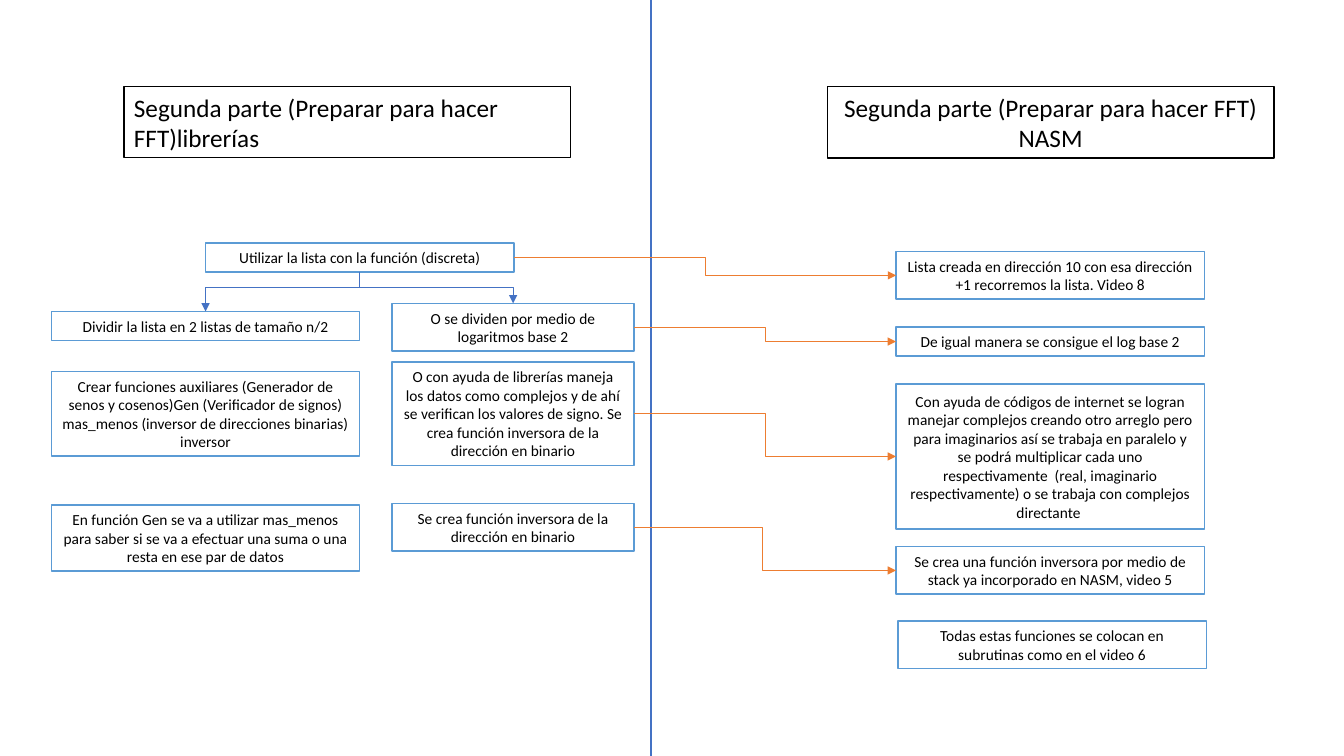
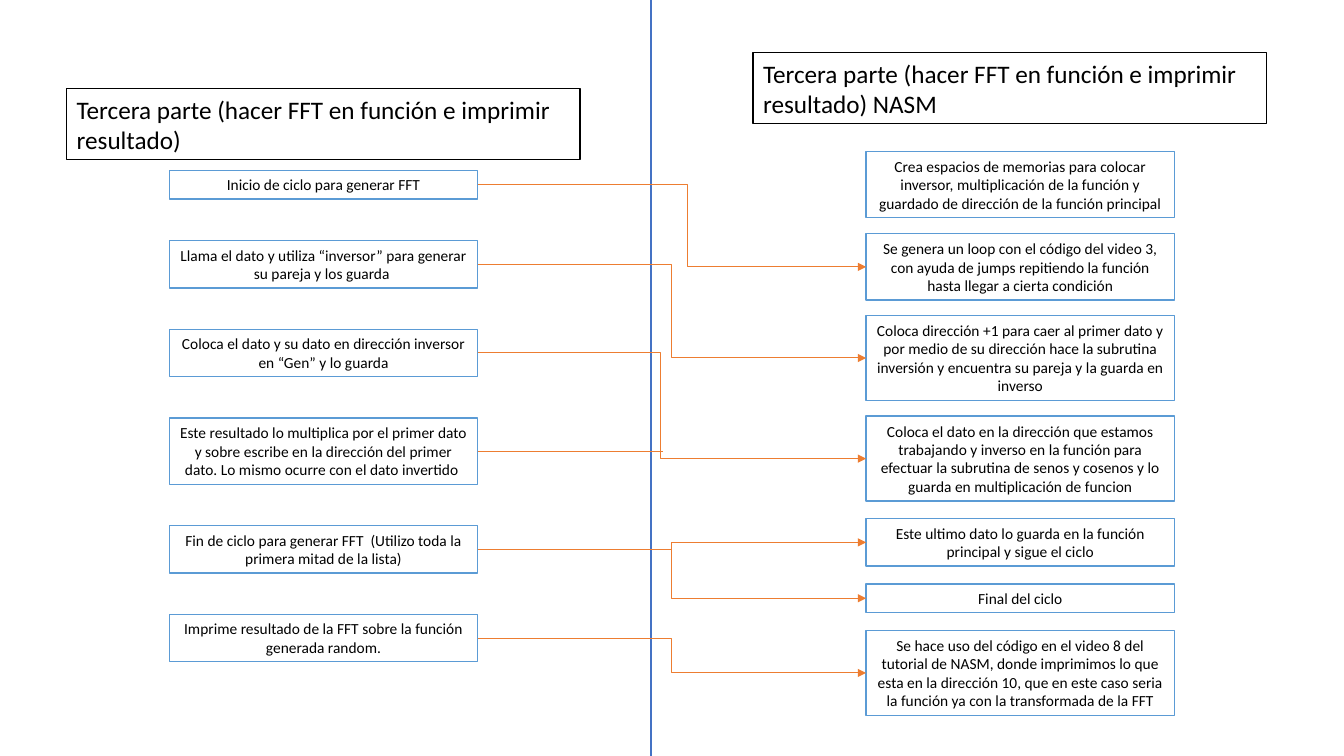
from dataclasses import dataclass

from lxml.etree import SubElement
from pptx import Presentation
from pptx.dml.color import RGBColor
from pptx.enum.shapes import MSO_CONNECTOR as Connector, MSO_SHAPE as Shape
from pptx.enum.text import MSO_AUTO_SIZE as AutoSize, PP_ALIGN as Align
from pptx.oxml.ns import qn
from pptx.util import Pt

WHITE = RGBColor(0xFF, 0xFF, 0xFF)
BLACK = RGBColor(0x00, 0x00, 0x00)
BOX_BLUE = RGBColor(0x5B, 0x9B, 0xD5)
LINE_BLUE = RGBColor(0x44, 0x72, 0xC4)
ORANGE = RGBColor(0xED, 0x7D, 0x31)

FONT = "Calibri"
SLIDE_WIDTH, SLIDE_HEIGHT = 960, 540
DIVIDER_X = 465
STEP_WIDTH, NARROW_WIDTH = 220.3, 172.8
LINES_1, LINES_2, LINES_3, LINES_4, LINES_5 = 20.6, 33.9, 47.3, 60.6, 73.9
TITLE_HEIGHT = 50.9
TOP, LEFT, BOTTOM, RIGHT = range(4)  # connection sites of a rectangle


@dataclass(frozen=True)
class Title:
    left: float
    top: float
    width: float
    text: str
    align: Align = Align.LEFT


@dataclass(frozen=True)
class Step:
    name: str
    left: float
    top: float
    height: float
    text: str
    width: float = STEP_WIDTH


@dataclass(frozen=True)
class Link:
    """An elbow arrow; bend is the share of its way at which it turns."""
    start: str
    end: str
    bend: float = 0.5
    downward: bool = False


@dataclass(frozen=True)
class Page:
    titles: list[Title]
    steps: list[Step]
    links: list[Link]


def stack(left: float, top: float, gap: float,
          items: list[tuple[str, float, str]]) -> list[Step]:
    """Place steps under each other with equal gaps."""
    steps = []
    for name, height, text in items:
        steps.append(Step(name, left, top, height, text))
        top += height + gap
    return steps


NASM_X, LIST_X, LIBRARY_X = 640.1, 36.7, 280.1
PREPARE = Page(
    titles=[
        Title(88.6, 61.8, 319, "Segunda parte (Preparar para hacer FFT)librerías"),
        Title(591, 62, 319, "Segunda parte (Preparar para hacer FFT) NASM", Align.CENTER),
    ],
    steps=[
        Step("función", 146.9, 173.7, LINES_1, "Utilizar la lista con la función (discreta)"),
        Step("dividir", LIST_X, 222.5, LINES_1, "Dividir la lista en 2 listas de tamaño n/2"),
        Step("auxiliares", LIST_X, 265.2, LINES_4,
             "Crear funciones auxiliares (Generador de senos y cosenos)Gen (Verificador de signos) "
             "mas_menos (inversor de direcciones binarias) inversor"),
        Step("gen", LIST_X, 360.6, LINES_3,
             "En función Gen se va a utilizar mas_menos para saber si se va a efectuar una suma "
             "o una resta en ese par de datos"),
        Step("logaritmos", LIBRARY_X, 216.8, LINES_2,
             "O se dividen por medio de logaritmos base 2", NARROW_WIDTH),
        Step("complejos", LIBRARY_X, 258.6, LINES_5,
             "O con ayuda de librerías maneja los datos como complejos y de ahí se verifican los "
             "valores de signo. Se crea función inversora de la dirección en binario", NARROW_WIDTH),
        Step("inversora", LIBRARY_X, 359.7, LINES_2,
             "Se crea función inversora de la dirección en binario", NARROW_WIDTH),
        Step("lista NASM", NASM_X, 179.8, LINES_2,
             "Lista creada en dirección 10 con esa dirección +1 recorremos la lista. Video 8"),
        Step("log NASM", NASM_X, 233.7, LINES_1, "De igual manera se consigue el log base 2"),
        Step("complejos NASM", NASM_X, 274.2, 103.7,
             "Con ayuda de códigos de internet se logran manejar complejos creando otro arreglo "
             "pero para imaginarios así se trabaja en paralelo y se podrá multiplicar cada uno "
             "respectivamente  (real, imaginario respectivamente) o se trabaja con complejos "
             "directante "),
        Step("stack NASM", NASM_X, 390.5, LINES_2,
             "Se crea una función inversora por medio de stack ya incorporado en NASM, video 5"),
        Step("subrutinas", 641.4, 443.5, LINES_2,
             "Todas estas funciones se colocan en subrutinas como en el video 6"),
    ],
    links=[
        Link("función", "logaritmos", downward=True),
        Link("función", "dividir", 0.4, downward=True),
        Link("función", "lista NASM"),
        Link("logaritmos", "log NASM"),
        Link("complejos", "complejos NASM"),
        Link("inversora", "stack NASM", 0.49),
    ],
)

CYCLE_X, SUBROUTINE_X = 121, 618.7
TRANSFORM = Page(
    titles=[
        Title(47.7, 63.2, 366.5, "Tercera parte (hacer FFT en función e imprimir resultado)"),
        Title(538, 37.5, 366.5, "Tercera parte (hacer FFT en función e imprimir resultado) NASM"),
    ],
    steps=stack(CYCLE_X, 121.7, 29.5, [
        ("inicio", LINES_1, "Inicio de ciclo para generar FFT"),
        ("inversor", LINES_2,
         "Llama el dato y utiliza “inversor” para generar su pareja y los guarda "),
        ("gen", LINES_2, "Coloca el dato y su dato en dirección inversor en “Gen” y lo guarda"),
        ("multiplica", LINES_3,
         "Este resultado lo multiplica por el primer dato y sobre escribe en la dirección del "
         "primer dato. Lo mismo ocurre con el dato invertido "),
        ("fin", LINES_2,
         "Fin de ciclo para generar FFT  (Utilizo toda la primera mitad de la lista)"),
        ("imprime", LINES_2, "Imprime resultado de la FFT sobre la función generada random."),
    ]) + [
        Step("memoria", SUBROUTINE_X, 108.2, LINES_3,
             "Crea espacios de memorias para colocar inversor, multiplicación de la función y "
             "guardado de dirección de la función principal"),
        Step("loop", SUBROUTINE_X, 167, LINES_3,
             "Se genera un loop con el código del video 3, con ayuda de jumps repitiendo la "
             "función hasta llegar a cierta condición"),
        Step("pareja", SUBROUTINE_X, 225.4, LINES_4,
             "Coloca dirección +1 para caer al primer dato y por medio de su dirección hace la "
             "subrutina inversión y encuentra su pareja y la guarda en inverso"),
        Step("senos", SUBROUTINE_X, 297.3, LINES_4,
             "Coloca el dato en la dirección que estamos trabajando y inverso en la función para "
             "efectuar la subrutina de senos y cosenos y lo guarda en multiplicación de funcion"),
        Step("principal", SUBROUTINE_X, 370.5, LINES_2,
             "Este ultimo dato lo guarda en la función principal y sigue el ciclo"),
        Step("final", SUBROUTINE_X, 417, LINES_1, "Final del ciclo"),
        Step("tutorial", SUBROUTINE_X, 450.4, LINES_4,
             "Se hace uso del código en el video 8 del tutorial de NASM, donde imprimimos lo que "
             "esta en la dirección 10, que en este caso seria la función ya con la transformada "
             "de la FFT"),
    ],
    links=[
        Link("inicio", "loop", 0.54),
        Link("inversor", "pareja"),
        Link("gen", "senos", 0.47),
        Link("fin", "principal"),
        Link("imprime", "tutorial"),
    ],
)


def add_box(slide, box: Title | Step, height: float, outline: RGBColor,
            size: float, align: Align):
    shape = slide.shapes.add_shape(
        Shape.RECTANGLE, Pt(box.left), Pt(box.top), Pt(box.width), Pt(height))
    shape.shadow.inherit = False
    shape.fill.solid()
    shape.fill.fore_color.rgb = WHITE
    shape.line.color.rgb = outline
    shape.line.width = Pt(1)
    text_frame = shape.text_frame
    text_frame.word_wrap = True
    text_frame.auto_size = AutoSize.SHAPE_TO_FIT_TEXT
    text_frame.text = box.text
    paragraph = text_frame.paragraphs[0]
    paragraph.alignment = align
    font = paragraph.runs[0].font
    font.name, font.size, font.color.rgb = FONT, Pt(size), BLACK
    return shape


def add_line(slide, kind: Connector, start: tuple[float, float], end: tuple[float, float],
             color: RGBColor):
    line = slide.shapes.add_connector(kind, *map(Pt, start + end))
    line.line.color.rgb = color
    line.line.width = Pt(0.75)
    SubElement(line.element.spPr, qn("a:effectLst"))
    return line


def add_elbow_arrow(slide, start: tuple[float, float], end: tuple[float, float],
                    color: RGBColor, bend: float):
    arrow = add_line(slide, Connector.ELBOW, start, end, color)
    SubElement(arrow.line._get_or_add_ln(), qn("a:tailEnd"), type="triangle")
    adjustments = arrow.element.spPr.find(qn("a:prstGeom")).get_or_add_avLst()
    SubElement(adjustments, qn("a:gd"), name="adj1", fmla=f"val {round(bend * 100000)}")
    return arrow


def turn_downward(arrow, start: tuple[float, float], end: tuple[float, float]) -> None:
    """Rotate an elbow so that it leaves and arrives vertically."""
    across, down = end[0] - start[0], end[1] - start[1]
    arrow.width, arrow.height = Pt(down), Pt(abs(across))
    arrow.left = Pt((start[0] + end[0] - down) / 2)
    arrow.top = Pt((start[1] + end[1] - abs(across)) / 2)
    frame = arrow.element.spPr.find(qn("a:xfrm"))
    frame.set("rot", str((270 if across > 0 else 90) * 60000))
    frame.set("flipH", "1" if across > 0 else "0")


def site_point(step: Step, site: int) -> tuple[float, float]:
    middle_x, middle_y = step.left + step.width / 2, step.top + step.height / 2
    return {
        TOP: (middle_x, step.top),
        LEFT: (step.left, middle_y),
        BOTTOM: (middle_x, step.top + step.height),
        RIGHT: (step.left + step.width, middle_y),
    }[site]


def add_page(presentation, page: Page):
    slide = presentation.slides.add_slide(presentation.slide_layouts[6])
    add_line(slide, Connector.STRAIGHT, (DIVIDER_X, 0), (DIVIDER_X, SLIDE_HEIGHT), LINE_BLUE)
    for title in page.titles:
        add_box(slide, title, TITLE_HEIGHT, BLACK, 18, title.align)
    steps = {step.name: step for step in page.steps}
    shapes = {step.name: add_box(slide, step, step.height, BOX_BLUE, 11, Align.CENTER)
              for step in page.steps}
    for link in page.links:
        start_site, end_site = (BOTTOM, TOP) if link.downward else (RIGHT, LEFT)
        start = site_point(steps[link.start], start_site)
        end = site_point(steps[link.end], end_site)
        color = LINE_BLUE if link.downward else ORANGE
        arrow = add_elbow_arrow(slide, start, end, color, link.bend)
        arrow.begin_connect(shapes[link.start], start_site)
        arrow.end_connect(shapes[link.end], end_site)
        if link.downward:
            turn_downward(arrow, start, end)
    return slide, steps, shapes


def main() -> None:
    presentation = Presentation()
    presentation.slide_width, presentation.slide_height = Pt(SLIDE_WIDTH), Pt(SLIDE_HEIGHT)
    add_page(presentation, PREPARE)
    slide, steps, shapes = add_page(presentation, TRANSFORM)

    multiply_end = site_point(steps["multiplica"], RIGHT)
    add_line(slide, Connector.STRAIGHT, multiply_end, (473.8, multiply_end[1]), ORANGE)
    branch = add_elbow_arrow(
        slide, (480, 389), site_point(steps["final"], LEFT), ORANGE, 0)
    branch.end_connect(shapes["final"], LEFT)
    presentation.save("out.pptx")


if __name__ == "__main__":
    main()
